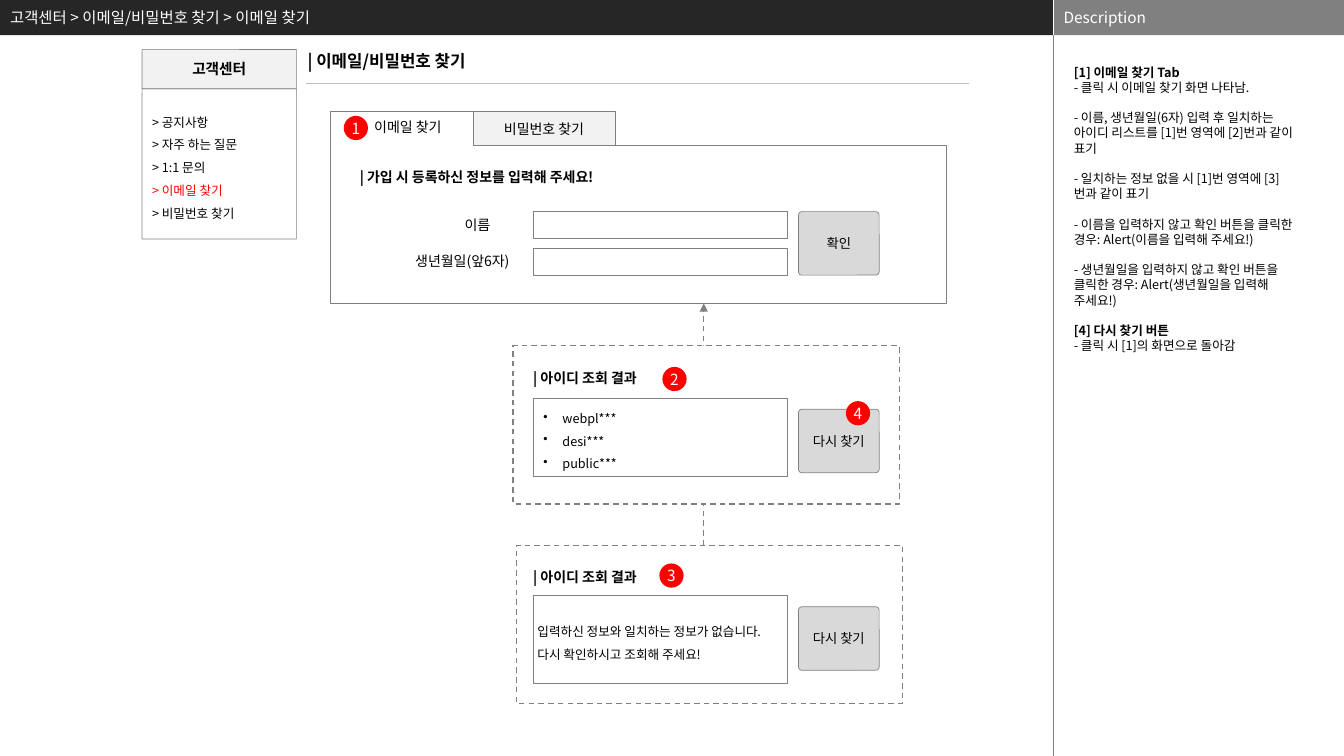
from dataclasses import dataclass
from lxml import etree
from pptx import Presentation
from pptx.dml.color import RGBColor
from pptx.enum.dml import MSO_LINE
from pptx.enum.shapes import MSO_CONNECTOR, MSO_SHAPE
from pptx.enum.text import MSO_ANCHOR, MSO_AUTO_SIZE, PP_ALIGN
from pptx.oxml.ns import qn
from pptx.util import Inches, Pt

RECT, ROUND, OVAL, CORNER = (MSO_SHAPE.RECTANGLE, MSO_SHAPE.ROUNDED_RECTANGLE,
                             MSO_SHAPE.OVAL, MSO_SHAPE.CORNER)
LEFT, CENTER = PP_ALIGN.LEFT, PP_ALIGN.CENTER
TOP, MIDDLE = MSO_ANCHOR.TOP, MSO_ANCHOR.MIDDLE
STRAIGHT, DASH, NO_FIT = MSO_CONNECTOR.STRAIGHT, MSO_LINE.DASH, MSO_AUTO_SIZE.NONE


@dataclass(frozen=True)
class Theme:
    font: str = "Noto Sans CJK KR"
    black: str = "000000"
    white: str = "FFFFFF"
    red: str = "FF0000"
    dark: str = "262626"
    gray: str = "808080"
    rule: str = "BFBFBF"
    button: str = "D9D9D9"
    pale: str = "F2F2F2"
    heading: float = 12
    bar: float = 11
    menu_title: float = 10.5
    label: float = 10
    button_text: float = 9.5
    body: float = 9
    blank_line: float = 10.9


T = Theme()

BREADCRUMB = "고객센터 > 이메일/비밀번호 찾기 > 이메일 찾기"
HEADING = "| 이메일/비밀번호 찾기"
SIDE_TITLE = "고객센터"
SIDE_MENU = ["> 공지사항", "> 자주 하는 질문", "> 1:1 문의", "> 이메일 찾기", "> 비밀번호 찾기"]
ACTIVE_MENU = "> 이메일 찾기"
TABS = ["이메일 찾기", "비밀번호 찾기"]
FORM_TITLE = "| 가입 시 등록하신 정보를 입력해 주세요!"
FIELDS = [("이름", 4.51, 0.48), ("생년월일(앞6자)", 4.02, 1.2)]
RESULT_TITLE = "| 아이디 조회 결과"
FOUND = ["webpl***", "desi***", "public***"]
NOT_FOUND = ["입력하신 정보와 일치하는 정보가 없습니다.", "다시 확인하시고 조회해 주세요!"]
BUTTONS = [("확인", 2.1), ("다시 찾기", 4.06), ("다시 찾기", 6.02)]
BADGES = [("1", 3.41, 1.15), ("2", 6.57, 3.64), ("3", 6.54, 5.59), ("4", 8.39, 3.98)]
DESCRIPTION = [
    [("[1] 이메일 찾기 Tab", True), ("- 클릭 시 이메일 찾기 화면 나타남.", False)],
    [("- 이름, 생년월일(6자) 입력 후 일치하는 아이디 리스트를 [1]번 영역에 [2]번과 같이 표기", False)],
    [("- 일치하는 정보 없을 시 [1]번 영역에 [3]번과 같이 표기", False)],
    [("- 이름을 입력하지 않고 확인 버튼을 클릭한 경우: Alert(이름을 입력해 주세요!)", False)],
    [("- 생년월일을 입력하지 않고 확인 버튼을 클릭한 경우: Alert(생년월일을 입력해 주세요!)", False)],
    [("[4] 다시 찾기 버튼", True), ("- 클릭 시 [1]의 화면으로 돌아감", False)],
]

FIELD_X, FIELD_W, FIELD_H = 5.29, 2.52, 0.27
BAR_H, SPLIT_X, SLIDE_W, SLIDE_H = 0.35, 10.45, 13.33, 7.5


def rgb(color):
    return RGBColor.from_string(color)


def set_frame(sp, anchor=TOP, inset=(0.1, 0.05), wrap=True):
    tf = sp.text_frame
    tf.auto_size = NO_FIT
    tf.word_wrap = wrap
    tf.vertical_anchor = anchor
    tf.margin_left = tf.margin_right = Inches(inset[0])
    tf.margin_top = tf.margin_bottom = Inches(inset[1])
    return tf


def add_line(tf, text, size, color=T.black, bold=False, align=LEFT,
             spacing=1.0, before=0, bullet=False):
    p = tf.paragraphs[0]
    if p.runs:
        p = tf.add_paragraph()
    p.alignment, p.line_spacing, p.space_before = align, spacing, Pt(before)
    pPr = p._p.get_or_add_pPr()
    indent = Inches(0.19) if bullet else 0
    pPr.set("marL", str(indent))
    pPr.set("indent", str(-indent))
    if bullet:
        etree.SubElement(pPr, qn("a:buChar")).set("char", "•")
    else:
        etree.SubElement(pPr, qn("a:buNone"))
    r = p.add_run()
    r.text = text
    r.font.size, r.font.bold, r.font.name = Pt(size), bold, T.font
    r.font.color.rgb = rgb(color)
    etree.SubElement(r._r.get_or_add_rPr(), qn("a:ea")).set("typeface", T.font)


def place(sp, x, y, w, h):
    sp.left, sp.top, sp.width, sp.height = map(Inches, (x, y, w, h))


def add_box(s, x, y, w, h, kind=RECT, fill=None, line=T.gray, weight=0.5, dash=None, adj=()):
    sp = s.shapes.add_shape(kind, *map(Inches, (x, y, w, h)))
    sp.shadow.inherit = False
    for i, value in enumerate(adj):
        sp.adjustments[i] = value
    if fill:
        sp.fill.solid()
        sp.fill.fore_color.rgb = rgb(fill)
    else:
        sp.fill.background()
    if line:
        sp.line.color.rgb = rgb(line)
        sp.line.width = Pt(weight)
        sp.line.dash_style = dash
    else:
        sp.line.fill.background()
    return sp


def add_label(s, text, x, y, w, h=0.27, bold=False, align=LEFT, anchor=TOP, wrap=True):
    sp = s.shapes.add_textbox(*map(Inches, (x, y, w, h)))
    add_line(set_frame(sp, anchor, wrap=wrap), text, T.label, bold=bold, align=align)


def add_rule(s, x1, y1, x2, y2, color, weight):
    c = s.shapes.add_connector(STRAIGHT, *map(Inches, (x1, y1, x2, y2)))
    c.line.color.rgb = rgb(color)
    c.line.width = Pt(weight)
    etree.SubElement(c._element.spPr, qn("a:effectLst"))
    return c


def add_header(s, breadcrumb):
    add_box(s, 0, 0, SPLIT_X, BAR_H, fill=T.dark, line=None)
    bar = add_box(s, SPLIT_X, 0, SLIDE_W - SPLIT_X, BAR_H, fill=T.gray, line=None)
    add_line(set_frame(bar, MIDDLE), "Description", T.bar, T.white)
    add_rule(s, SPLIT_X, 0, SPLIT_X, BAR_H, T.white, 0.25)
    add_rule(s, SPLIT_X, BAR_H, SPLIT_X, SLIDE_H, T.gray, 0.25)
    place(breadcrumb, 0, 0, 10.16, BAR_H)
    add_line(set_frame(breadcrumb, MIDDLE), BREADCRUMB, T.bar, T.white)
    s.shapes._spTree.append(breadcrumb._element)


def add_description(body):
    place(body, 10.61, 0.64, 2.34, 6.8)
    tf = set_frame(body, inset=(0.04, 0))
    for g, group in enumerate(DESCRIPTION):
        for i, (text, bold) in enumerate(group):
            before = T.blank_line if g and i == 0 else 0
            add_line(tf, text, T.body, bold=bold, before=before)


def add_side_menu(s):
    menu = add_box(s, 1.41, 0.88, 1.53, 1.49, ROUND, adj=(0.001,))
    tf = set_frame(menu, MIDDLE)
    for item in SIDE_MENU:
        add_line(tf, item, T.body, T.red if item == ACTIVE_MENU else T.black, spacing=1.5)
    title = add_box(s, 1.41, 0.49, 1.53, 0.39, ROUND, T.pale, adj=(0.001,))
    add_line(set_frame(title, MIDDLE), SIDE_TITLE, T.menu_title, bold=True, align=CENTER)


def add_form(s):
    tab = add_box(s, 4.69, 1.11, 1.41, 0.34, fill=T.pale)
    add_line(set_frame(tab, MIDDLE), TABS[1], T.label, align=CENTER)
    add_box(s, 3.28, 1.11, 6.11, 1.9, CORNER, T.white, adj=(0.824, 0.745))
    add_label(s, TABS[0], 3.35, 1.11, 1.39, 0.3, align=CENTER, anchor=MIDDLE)
    add_label(s, FORM_TITLE, 3.47, 1.62, 2.83, bold=True, wrap=False)
    for i, (text, x, w) in enumerate(FIELDS):
        y = 2.1 + 0.36 * i
        add_box(s, FIELD_X, y, FIELD_W, FIELD_H)
        add_label(s, text, x, y, w)


def add_results(s):
    arrow = add_rule(s, 6.98, 5.41, 6.98, 3.01, T.gray, 1)
    arrow.line.dash_style = DASH
    etree.SubElement(arrow.line._get_or_add_ln(), qn("a:tailEnd")).set("type", "triangle")
    for x, y, fill in ((5.09, 3.43, T.white), (5.12, 5.41, None)):
        add_box(s, x, y, 3.83, 1.57, fill=fill, weight=1, dash=DASH)
    for y in (3.62, 5.59):
        add_label(s, RESULT_TITLE, 5.19, y, 1.37, bold=True, wrap=False)
    found = set_frame(add_box(s, FIELD_X, 3.95, FIELD_W, 0.78, fill=T.white))
    for text in FOUND:
        add_line(found, text, T.body, spacing=1.5, bullet=True)
    missing = set_frame(add_box(s, FIELD_X, 5.91, FIELD_W, 0.87), MIDDLE, (0.04, 0.04))
    for text in NOT_FOUND:
        add_line(missing, text, T.body, spacing=1.5)


def main():
    prs = Presentation()
    prs.slide_width, prs.slide_height = Inches(SLIDE_W), Inches(SLIDE_H)
    s = prs.slides.add_slide(prs.slide_layouts[3])
    title, breadcrumb, body = s.placeholders
    add_header(s, breadcrumb)
    place(title, 2.95, 0.45, 2.72, 0.3)
    add_line(set_frame(title), HEADING, T.heading, bold=True)
    add_rule(s, 3.04, 0.83, 9.61, 0.83, T.rule, 0.75)
    add_description(body)
    add_side_menu(s)
    add_form(s)
    add_results(s)
    for text, y in BUTTONS:
        button = add_box(s, 7.92, y, 0.8, 0.63, ROUND, T.button, adj=(0.052,))
        add_line(set_frame(button, MIDDLE, (0.05, 0.05)), text, T.button_text, align=CENTER)
    for text, x, y in BADGES:
        badge = add_box(s, x, y, 0.24, 0.24, OVAL, T.red, line=None)
        add_line(set_frame(badge, MIDDLE, (0, 0), wrap=False), text, T.bar, T.white, align=CENTER)
    prs.save("out.pptx")


if __name__ == "__main__":
    main()
